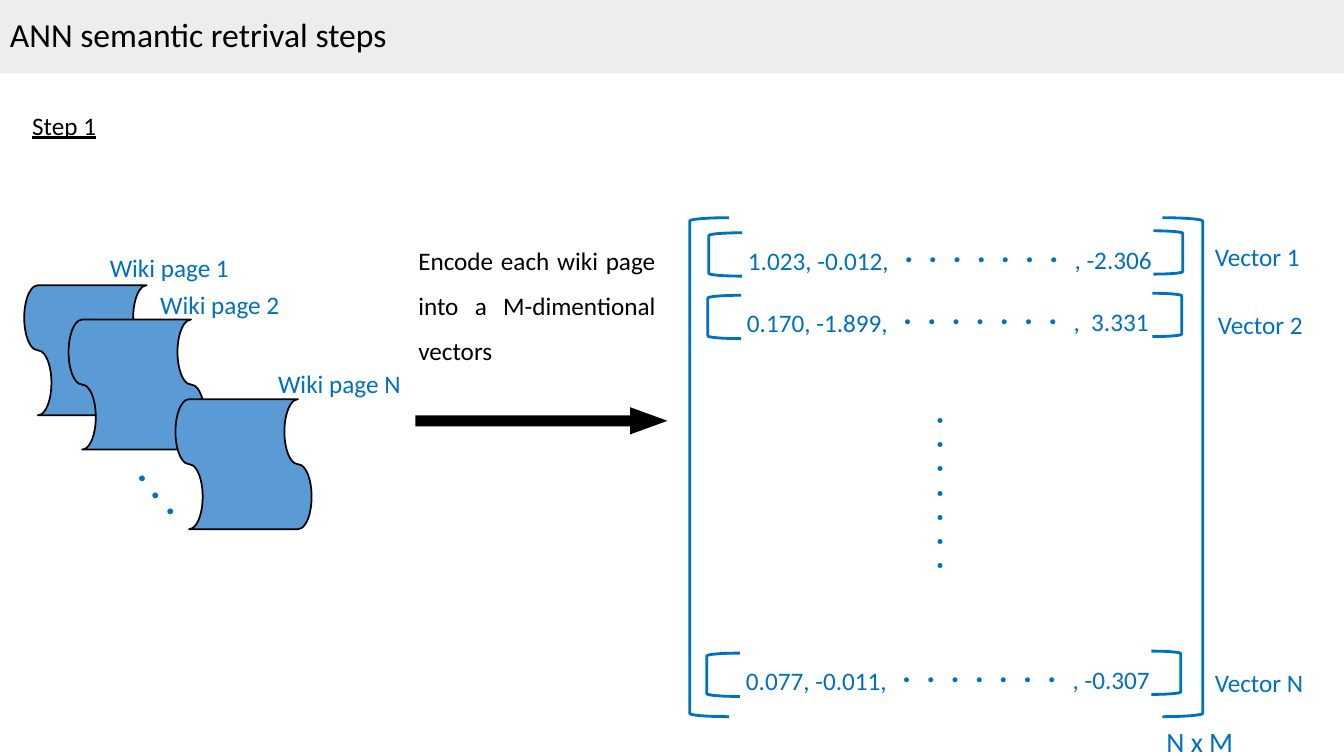
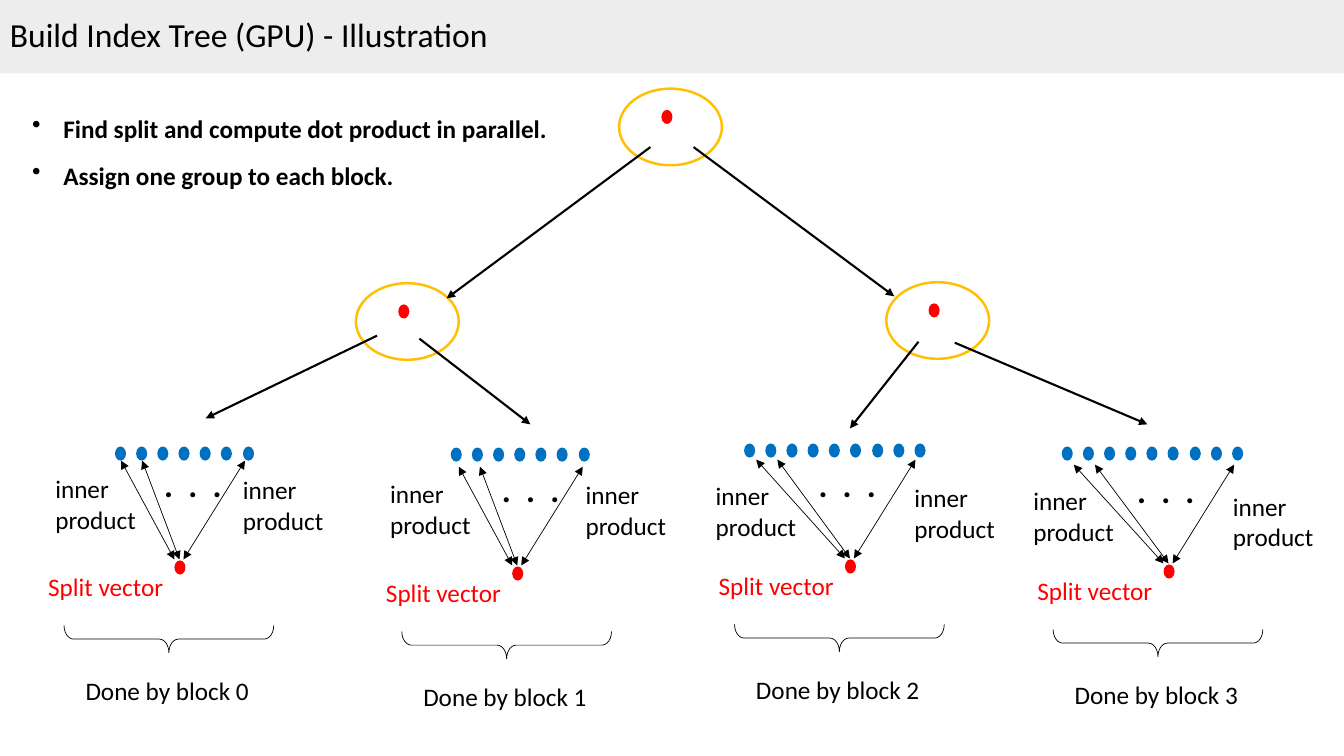
"""Build two slides: encoding pages as vectors, and building an index tree."""
from lxml.etree import SubElement
from pptx import Presentation
from pptx.dml.color import RGBColor
from pptx.enum.shapes import MSO_CONNECTOR, MSO_SHAPE
from pptx.enum.text import MSO_ANCHOR, MSO_AUTO_SIZE, PP_ALIGN
from pptx.oxml.ns import qn
from pptx.util import Emu, Pt

BLACK = RGBColor(0x00, 0x00, 0x00)
BLUE = RGBColor(0x00, 0x70, 0xC0)
PAGE_BLUE = RGBColor(0x5B, 0x9B, 0xD5)
RED = RGBColor(0xFF, 0x00, 0x00)
GOLD = RGBColor(0xFF, 0xC0, 0x00)
BAND_GREY = RGBColor(0xED, 0xED, 0xED)

FONT = "Calibri"
EMU_PER_PX = 9144
SLIDE_SIZE = (1333, 750)
BAND = (0, 0, 1333, 73)
DOT_SIZE = (11, 14)

SPACED = {"align": PP_ALIGN.JUSTIFY, "line_spacing": 1.5, "after": 8}
SPACED_BLUE = {**SPACED, "color": BLUE}
BLUE_DOTS = {"size": 24, "bold": True, "color": BLUE}

STEP_TITLE = "ANN semantic retrival steps"
ELLIPSIS = ".  .  .  .  .  .  ."
WIKI_PAGES = [
    ("Wiki page 1", (27, 280), (99, 230)),
    ("Wiki page 2", (71, 314), (149, 267)),
    ("Wiki page N", (177, 393), (266, 346)),
]
PAGE_DOTS = [(126, 411), (139, 427), (154, 443)]
MATRIX_BRACKETS = [
    (MSO_SHAPE.LEFT_BRACKET, (684, 216, 39, 495)),
    (MSO_SHAPE.RIGHT_BRACKET, (1153, 216, 40, 495)),
]
VECTORS = [
    ("Vector 1", "1.023, -0.012,", ", -2.306", (732, 223), (1195, 219, 140, 56)),
    ("Vector 2", "0.170, -1.899,", ",  3.331", (731, 285), (1198, 287, 140, 51)),
    ("Vector N", "0.077, -0.011,", ", -0.307", (730, 640), (1195, 642, 140, 51)),
]

TREE_TITLE = "Build Index Tree (GPU) - Illustration"
TREE_POINTS = [
    "Find split and compute dot product in parallel.",
    "Assign one group to each block.",
]
TREE_NODES = [(614, 88), (353, 281), (879, 280)]
BRANCHES = [
    ((645, 146), (443, 296)),
    ((688, 146), (887, 294)),
    ((374, 333), (204, 415)),
    ((911, 339), (843, 425)),
    ((416, 336), (526, 421)),
    ((947, 340), (1138, 421)),
]
BLOCKS = [
    {"origin": (154, 530), "vectors": (114, 443), "count": 7, "starts": (-34, -13),
     "dots": (153, 455), "products": [(45, 465), (231, 466)]},
    {"origin": (489, 536), "vectors": (447, 444), "count": 7, "starts": (-34, -13),
     "dots": (488, 460), "products": [(377, 470), (571, 471)]},
    {"origin": (819, 529), "vectors": (738, 440), "count": 9, "starts": (-69, -48),
     "dots": (802, 455), "products": [(700, 472), (897, 474)]},
    {"origin": (1135, 534), "vectors": (1053, 443), "count": 9, "starts": (-70, -49),
     "dots": (1118, 461), "products": [(1015, 477), (1213, 482)]},
]


def px(*lengths):
    return [Emu(length * EMU_PER_PX) for length in lengths]


def add_shape(slide, preset, box, fill=None, line=None, width=1, rotation=0, adjust=()):
    shape = slide.shapes.add_shape(preset, *px(*box))
    shape.shadow.inherit = False
    shape.rotation = rotation
    for index, value in enumerate(adjust):
        shape.adjustments[index] = value
    if fill is None:
        shape.fill.background()
    else:
        shape.fill.solid()
        shape.fill.fore_color.rgb = fill
    if line is None:
        shape.line.fill.background()
    else:
        shape.line.color.rgb = line
        shape.line.width = Pt(width)
    return shape


def add_dot(slide, left, top, color):
    add_shape(slide, MSO_SHAPE.OVAL, (left, top, *DOT_SIZE), fill=color)


def add_arrow(slide, start, end, width, ends=("tailEnd",)):
    arrow = slide.shapes.add_connector(MSO_CONNECTOR.STRAIGHT, *px(*start, *end))
    arrow.line.color.rgb = BLACK
    arrow.line.width = Pt(width)
    properties = arrow.element.spPr
    for end_tag in ends:
        SubElement(properties.find(qn("a:ln")), qn(f"a:{end_tag}"), type="triangle")
    SubElement(properties, qn("a:effectLst"))


def write(shape, text, size=18, color=BLACK, bold=False, underline=False, wrap=True,
          align=PP_ALIGN.LEFT, line_spacing=1.0, before=0, after=0, bullet=None):
    frame = shape.text_frame
    frame.word_wrap = wrap
    frame.text = text
    for paragraph in frame.paragraphs:
        paragraph.alignment = align
        paragraph.line_spacing = line_spacing
        paragraph.space_before = Pt(before)
        paragraph.space_after = Pt(after)
        font = paragraph.runs[0].font
        font.name, font.size, font.bold, font.underline = FONT, Pt(size), bold, underline
        font.color.rgb = color
        if bullet:
            properties = paragraph._p.get_or_add_pPr()
            indent = px(31)[0]
            properties.set("marL", str(indent))
            properties.set("indent", str(-indent))
            SubElement(properties, qn("a:buChar"), char=bullet)


def add_text(slide, text, box, rotation=0, **text_format):
    label = slide.shapes.add_textbox(*px(*box))
    label.rotation = rotation
    write(label, text, **text_format)
    label.text_frame.auto_size = MSO_AUTO_SIZE.SHAPE_TO_FIT_TEXT


def add_titled_slide(deck, title):
    slide = deck.slides.add_slide(deck.slide_layouts[6])
    band = add_shape(slide, MSO_SHAPE.RECTANGLE, BAND, fill=BAND_GREY)
    band.text_frame.vertical_anchor = MSO_ANCHOR.MIDDLE
    write(band, title, size=24, line_spacing=0.9, before=6, after=6)
    return slide


def add_vector(slide, name, first, last, origin, name_box):
    left, top = origin
    for preset, box in [
        (MSO_SHAPE.LEFT_BRACKET, (left - 29, top + 8, 33, 43)),
        (MSO_SHAPE.RIGHT_BRACKET, (left + 412, top + 6, 29, 43)),
    ]:
        add_shape(slide, preset, box, line=BLUE, width=2)
    add_text(slide, first, (left, top, 161, 51), **SPACED_BLUE)
    add_text(slide, ELLIPSIS, (left + 155, top - 1, 175, 50), **BLUE_DOTS)
    add_text(slide, last, (left + 324, top - 1, 117, 51), **SPACED_BLUE)
    add_text(slide, name, name_box, **SPACED_BLUE)


def build_encoding(deck):
    slide = add_titled_slide(deck, STEP_TITLE)
    add_text(slide, "Step 1", (22, 89, 255, 51), underline=True, **SPACED)
    for name, page, label in WIKI_PAGES:
        add_shape(slide, MSO_SHAPE.FLOWCHART_PUNCHED_TAPE, (*page, 129, 135),
                  fill=PAGE_BLUE, line=BLACK, width=1.25, rotation=90)
        add_text(slide, name, (*label, 171, 56), **SPACED_BLUE)
    for dot in PAGE_DOTS:
        add_text(slide, ".", (*dot, 25, 81), size=28, bold=True, **SPACED_BLUE)

    add_shape(slide, MSO_SHAPE.RIGHT_ARROW, (412, 404, 250, 27), fill=BLACK, adjust=(0.4, 1.37))
    add_text(slide, "Encode each wiki page into a M-dimentional vectors",
             (405, 223, 255, 146), **SPACED)

    for preset, box in MATRIX_BRACKETS:
        add_shape(slide, preset, box, line=BLUE, width=2)
    for vector in VECTORS:
        add_vector(slide, *vector)
    add_text(slide, ELLIPSIS, (856, 466, 175, 50), rotation=90, **BLUE_DOTS)
    add_text(slide, "N x M", (1147, 697, 96, 55), size=20, **SPACED_BLUE)


def add_block(slide, number, block):
    left, top = block["origin"]
    first_left, vector_top = block["vectors"]
    for index in range(block["count"]):
        add_dot(slide, first_left + index * 127 // 6, vector_top, BLUE)

    add_shape(slide, MSO_SHAPE.LEFT_BRACE, (left, top, 27, 208), line=BLACK, width=0.5,
              rotation=270, adjust=(0.35, 0.5))
    add_text(slide, f"Done by block {number}", (left - 79, top + 135, 184, 40), wrap=False)
    add_text(slide, "Split vector", (left - 116, top + 32, 136, 40), color=RED, wrap=False)
    add_dot(slide, left + 19, top + 26, RED)

    for start, end in zip((*block["starts"], 89), (19, 24, 28)):
        add_arrow(slide, (left + start, top - 73), (left + end, top + 25), 0.5,
                  ends=("headEnd", "tailEnd"))
    add_text(slide, ".  .  .", (*block["dots"], 175, 50), size=24, bold=True)
    for product in block["products"]:
        add_text(slide, "inner product", (*product, 128, 71))


def build_tree(deck):
    slide = add_titled_slide(deck, TREE_TITLE)
    for left, top in TREE_NODES:
        add_dot(slide, left + 42, top + 21, RED)
        add_shape(slide, MSO_SHAPE.OVAL, (left, top, 102, 76), line=GOLD, width=1.75)
    for start, end in BRANCHES:
        add_arrow(slide, start, end, 1.5)
    for number, block in enumerate(BLOCKS):
        add_block(slide, number, block)
    add_text(slide, "\n".join(TREE_POINTS), (22, 107, 1074, 88),
             bold=True, before=6, after=6, bullet="•")


def main():
    deck = Presentation()
    deck.slide_width, deck.slide_height = px(*SLIDE_SIZE)
    build_encoding(deck)
    build_tree(deck)
    deck.save("out.pptx")


if __name__ == "__main__":
    main()
